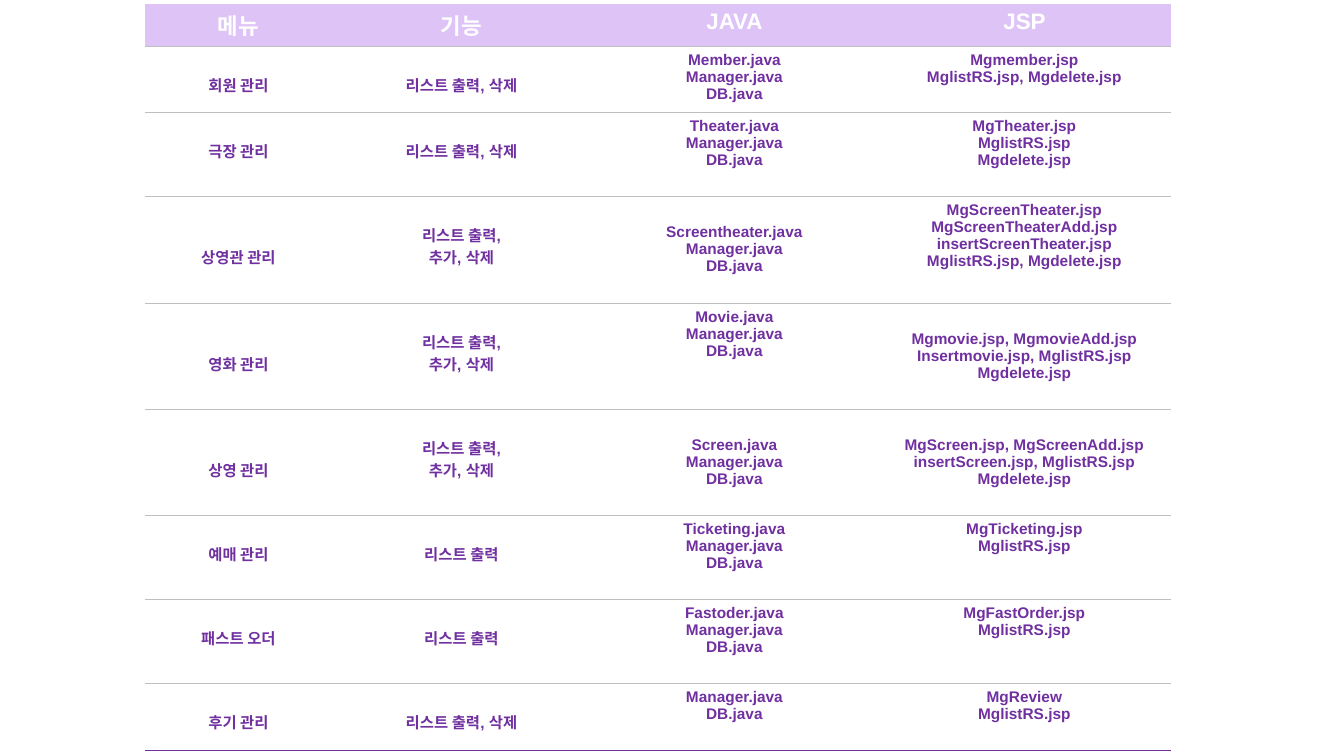
from lxml import etree
from pptx import Presentation
from pptx.dml.color import RGBColor
from pptx.enum.text import MSO_ANCHOR, PP_ALIGN
from pptx.oxml.ns import qn
from pptx.util import Emu, Pt

CENTER = PP_ALIGN.CENTER
TOP = MSO_ANCHOR.TOP
EMU_PER_PX = 914400 / 100.8

WHITE = RGBColor(0xFF, 0xFF, 0xFF)
LILAC = RGBColor(0xDE, 0xC4, 0xF6)
PURPLE = RGBColor(0x70, 0x30, 0xA0)
GREY = RGBColor(0xBF, 0xBF, 0xBF)

TABLE_LEFT, TABLE_TOP = 145, 4
COLUMN_WIDTHS = (187, 259, 287, 293)
HEADER_HEIGHT = 42
CELL_MARGIN = 5
LINE_DROP = 22

HEADERS = ("메뉴", "기능", "JAVA", "JSP")
LIST = ("리스트 출력",)
LIST_DELETE = ("리스트 출력, 삭제",)
LIST_ADD_DELETE = ("리스트 출력,", "추가, 삭제")
MANAGER_DB = ("Manager.java", "DB.java")

# Row height, lines by which each column's text is lowered, cell contents
ROWS = (
    (66, (1, 1, 0, 0), (
        ("회원 관리",), LIST_DELETE, ("Member.java", *MANAGER_DB),
        ("Mgmember.jsp", "MglistRS.jsp, Mgdelete.jsp"))),
    (84, (1, 1, 0, 0), (
        ("극장 관리",), LIST_DELETE, ("Theater.java", *MANAGER_DB),
        ("MgTheater.jsp", "MglistRS.jsp", "Mgdelete.jsp"))),
    (107, (2, 1, 1, 0), (
        ("상영관 관리",), LIST_ADD_DELETE, ("Screentheater.java", *MANAGER_DB),
        ("MgScreenTheater.jsp", "MgScreenTheaterAdd.jsp",
         "insertScreenTheater.jsp", "MglistRS.jsp, Mgdelete.jsp"))),
    (106, (2, 1, 0, 1), (
        ("영화 관리",), LIST_ADD_DELETE, ("Movie.java", *MANAGER_DB),
        ("Mgmovie.jsp, MgmovieAdd.jsp", "Insertmovie.jsp, MglistRS.jsp",
         "Mgdelete.jsp"))),
    (106, (2, 1, 1, 1), (
        ("상영 관리",), LIST_ADD_DELETE, ("Screen.java", *MANAGER_DB),
        ("MgScreen.jsp, MgScreenAdd.jsp", "insertScreen.jsp, MglistRS.jsp",
         "Mgdelete.jsp"))),
    (84, (1, 1, 0, 0), (
        ("예매 관리",), LIST, ("Ticketing.java", *MANAGER_DB),
        ("MgTicketing.jsp", "MglistRS.jsp"))),
    (84, (1, 1, 0, 0), (
        ("패스트 오더",), LIST, ("Fastoder.java", *MANAGER_DB),
        ("MgFastOrder.jsp", "MglistRS.jsp"))),
    (67, (1, 1, 0, 0), (
        ("후기 관리",), LIST_DELETE, MANAGER_DB,
        ("MgReview", "MglistRS.jsp"))),
)


def px(length):
    return Emu(round(length * EMU_PER_PX))


class SlideBuilder:
    def __init__(self, slide, font_name):
        self.slide = slide
        self.font_name = font_name

    def table(self, left, top, widths, heights):
        frame = self.slide.shapes.add_table(
            len(heights), len(widths), px(left), px(top),
            px(sum(widths)), px(sum(heights)))
        table = frame.table
        table.first_row = False
        table.horz_banding = False
        for column, width in zip(table.columns, widths):
            column.width = px(width)
        for row, height in zip(table.rows, heights):
            row.height = px(height)
        return table

    def border(self, cell, side, color=None, points=0.5):
        """Draw one cell edge, or hide it when no colour is given."""
        properties = cell._tc.get_or_add_tcPr()
        line = etree.SubElement(properties, qn(f"a:ln{side}"), w=str(Pt(points)))
        if color is None:
            etree.SubElement(line, qn("a:noFill"))
        else:
            fill = etree.SubElement(line, qn("a:solidFill"))
            etree.SubElement(fill, qn("a:srgbClr"), val=str(color))

    def cell(self, cell, lines, size, color, drop=0):
        """Write centred bold lines, lowered by a number of text lines."""
        cell.vertical_anchor = TOP
        cell.margin_top = px(CELL_MARGIN + drop * LINE_DROP)
        cell.margin_bottom = px(CELL_MARGIN)
        frame = cell.text_frame
        for index, line in enumerate(lines):
            para = frame.add_paragraph() if index else frame.paragraphs[0]
            para.alignment = CENTER
            span = para.add_run()
            span.text = line
            span.font.name = self.font_name
            span.font.size = Pt(size)
            span.font.bold = True
            span.font.color.rgb = color


def build_menu_table(builder):
    heights = [HEADER_HEIGHT] + [height for height, _, _ in ROWS]
    table = builder.table(TABLE_LEFT, TABLE_TOP, COLUMN_WIDTHS, heights)
    last_row = len(ROWS)

    for row in range(last_row + 1):
        for column in range(len(COLUMN_WIDTHS)):
            cell = table.cell(row, column)
            builder.border(cell, "L")
            builder.border(cell, "R")
            builder.border(cell, "T", GREY if row else None)
            if row == last_row:
                builder.border(cell, "B", PURPLE, 1)
            else:
                builder.border(cell, "B", GREY)
            if row == 0:
                cell.fill.solid()
                cell.fill.fore_color.rgb = LILAC
                builder.cell(cell, (HEADERS[column],), 16, WHITE)
            else:
                cell.fill.background()
                _, drops, contents = ROWS[row - 1]
                builder.cell(cell, contents[column], 11, PURPLE, drops[column])


def main():
    deck = Presentation()
    deck.slide_width = px(1344)
    deck.slide_height = px(756)
    page = deck.slides.add_slide(deck.slide_layouts[6])
    build_menu_table(SlideBuilder(page, "Arial"))
    deck.save("out.pptx")


if __name__ == "__main__":
    main()
